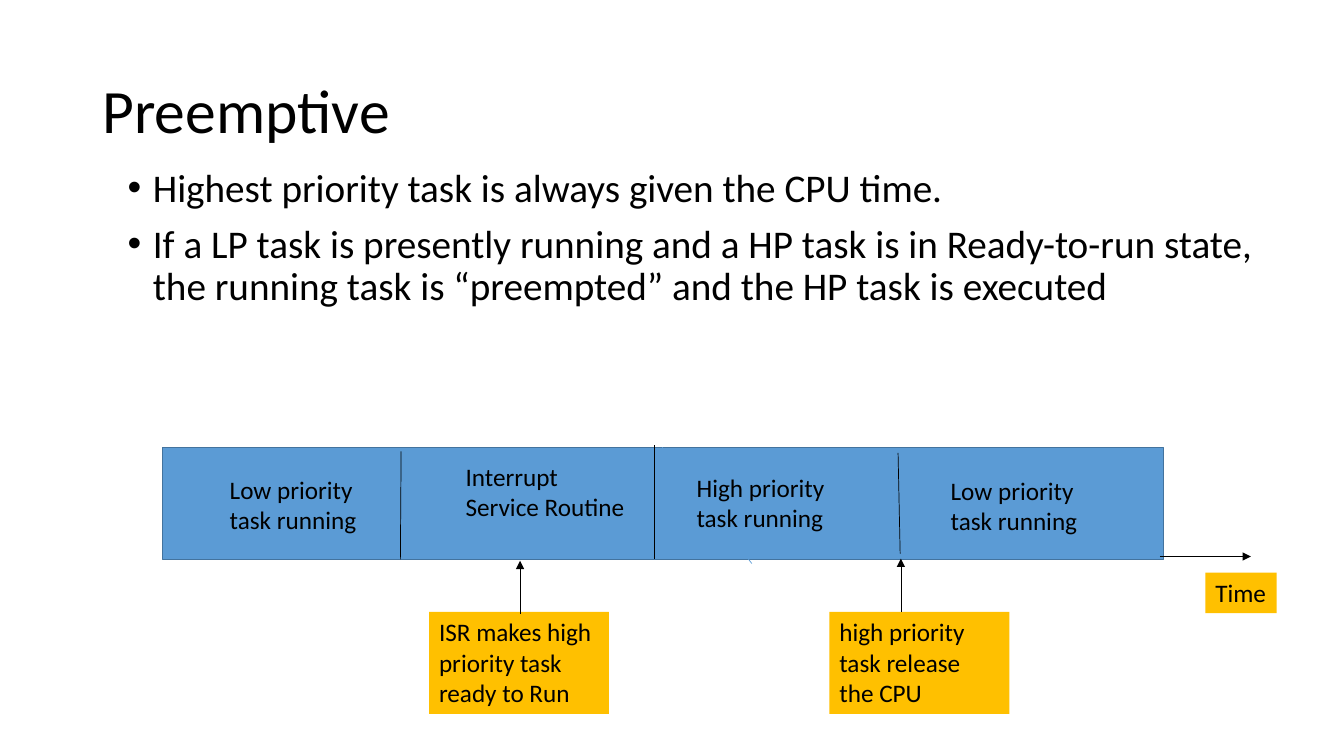
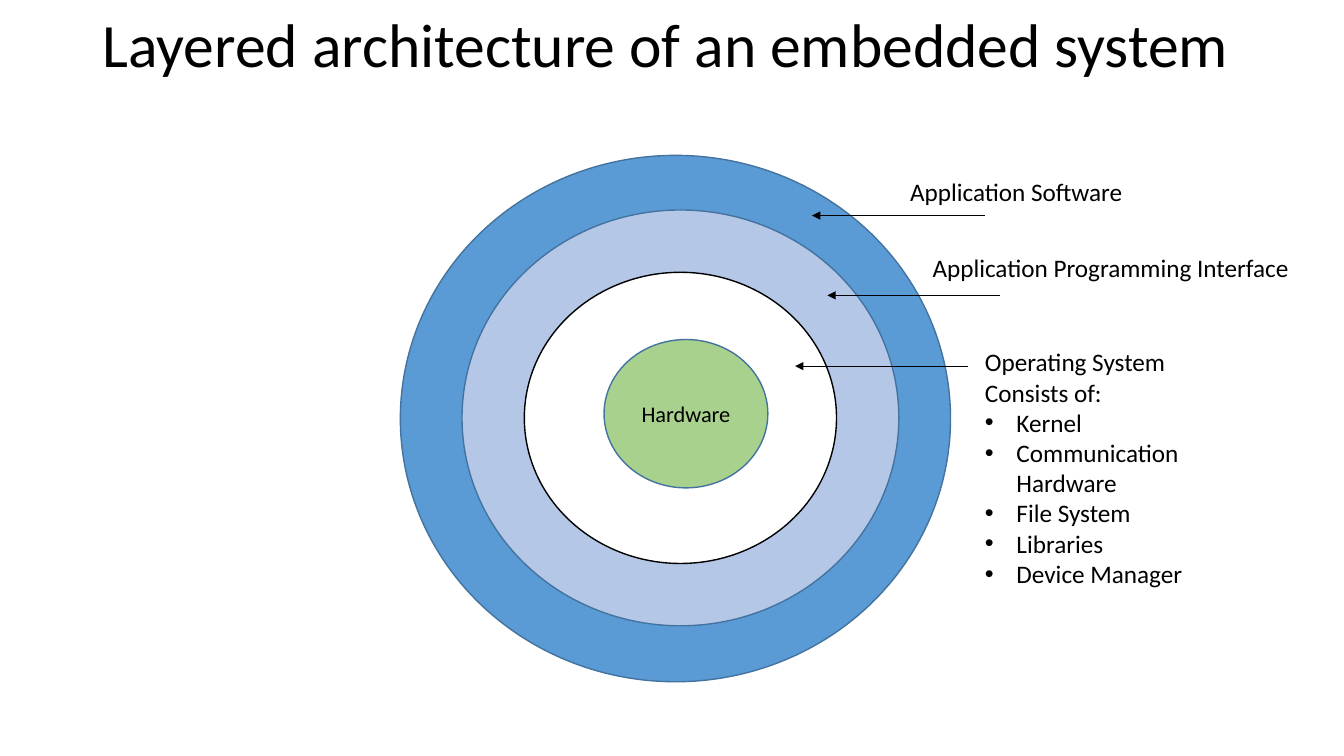
"""Build two slides on preemptive scheduling and embedded system layers."""
from lxml import etree
from pptx import Presentation
from pptx.dml.color import RGBColor
from pptx.enum.shapes import MSO_CONNECTOR, MSO_SHAPE
from pptx.enum.text import MSO_ANCHOR, MSO_AUTO_SIZE, PP_ALIGN
from pptx.oxml.ns import qn
from pptx.util import Pt

LINE, RECT, OVAL = MSO_CONNECTOR.STRAIGHT, MSO_SHAPE.RECTANGLE, MSO_SHAPE.OVAL
TOP, MIDDLE = MSO_ANCHOR.TOP, MSO_ANCHOR.MIDDLE
LEFT, CENTER, FIXED = PP_ALIGN.LEFT, PP_ALIGN.CENTER, MSO_AUTO_SIZE.NONE
FONT = "Calibri"
HEX = {"black": "000000", "white": "FFFFFF", "blue": "5B9BD5", "edge": "43739E",
       "pale": "B4C7E7", "green": "A9D18E", "gold": "FFC000"}
RGB = {name: RGBColor.from_string(code) for name, code in HEX.items()}


def write(shape, paras, size=18, indent=0, plain=0, anchor=TOP, align=LEFT,
          spacing=None, gap=0, wrap=True):
    """Fill a shape with paragraphs, bulleted after the first plain ones."""
    frame = shape.text_frame
    frame.auto_size, frame.word_wrap = FIXED, wrap
    frame.vertical_anchor = anchor
    for i, text in enumerate(paras):
        para = frame.paragraphs[0] if i == 0 else frame.add_paragraph()
        if indent and i >= plain:
            props = para._p.get_or_add_pPr()
            props.set("marL", str(Pt(indent)))
            props.set("indent", str(-Pt(indent)))
            etree.SubElement(props, qn("a:buFont")).set("typeface", "Arial")
            etree.SubElement(props, qn("a:buChar")).set("char", "•")
        para.alignment = align
        para.line_spacing = spacing
        para.space_before = Pt(gap if i else 0)
        run = para.add_run()
        run.text = text
        run.font.name, run.font.size = FONT, Pt(size)
        run.font.color.rgb = RGB["black"]


def link(slide, x1, y1, x2, y2, color="black", arrow=False):
    """Draw a thin line, with an arrowhead at its end if asked."""
    line = slide.shapes.add_connector(LINE, Pt(x1), Pt(y1), Pt(x2), Pt(y2))
    line.line.width = Pt(0.5)
    line.line.color.rgb = RGB[color]
    if arrow:
        etree.SubElement(line.line._get_or_add_ln(), qn("a:tailEnd")).set("type", "triangle")
    etree.SubElement(line._element.spPr, qn("a:effectLst"))


deck = Presentation()
deck.slide_width, deck.slide_height = Pt(960), Pt(540)
pages = []
for kind, text, top, anchor in [
        (1, "Preemptive", 29, MIDDLE),
        (5, "Layered architecture of an embedded system", 6.5, TOP)]:
    page = deck.slides.add_slide(deck.slide_layouts[kind])
    title = page.shapes.title
    title.left, title.top, title.width, title.height = Pt(66), Pt(top), Pt(828), Pt(104.4)
    write(title, [text], 44, anchor=anchor, spacing=0.9)
    pages.append(page)
tasks, layers = pages

body = tasks.placeholders[1]
body.left, body.top, body.width, body.height = Pt(84), Pt(116.5), Pt(828), Pt(147)
write(body, [
    "Highest priority task is always given the CPU time.",
    "If a LP task is presently running and a HP task is in Ready-to-run state, "
    "the running task is “preempted” and the HP task is executed",
], 28, indent=18, spacing=0.9, gap=10)

bar = tasks.shapes.add_shape(RECT, Pt(116), Pt(319.5), Pt(715), Pt(80))
bar.shadow.inherit = False
bar.fill.solid()
bar.fill.fore_color.rgb = RGB["blue"]
bar.line.color.rgb, bar.line.width = RGB["edge"], Pt(1)

link(tasks, 828.5, 397.5, 893.5, 397.5, arrow=True)
link(tasks, 473, 319.5, 537, 402.5, "blue")
for x1, y1, x2, y2 in [(467.5, 318, 467.5, 399.5), (286.5, 322.5, 286, 399.5),
                       (641.5, 323.5, 643, 395.5)]:
    link(tasks, x1, y1, x2, y2)

for x, y, text in [(325.5, 326, "Interrupt Service Routine"),
                   (490.5, 333.5, "High priority task running"),
                   (157, 335, "Low priority task running"),
                   (672, 336, "Low priority task running")]:
    write(tasks.shapes.add_textbox(Pt(x), Pt(y), Pt(128), Pt(51)), [text])

for x, y, w, h, text, wrap in [
        (306.5, 437, 128.5, 73, "ISR makes high priority task ready to Run", True),
        (592.5, 437, 128.5, 73, "high priority task release the CPU", True),
        (861, 409, 51, 29, "Time", False)]:
    note = tasks.shapes.add_textbox(Pt(x), Pt(y), Pt(w), Pt(h))
    note.fill.solid()
    note.fill.fore_color.rgb = RGB["gold"]
    write(note, [text], wrap=wrap)

for x, y in [(643.5, 437), (371.5, 438.5)]:
    link(tasks, x, y, x, y - 38, arrow=True)

for x, y, w, h, fill, edge, text in [
        (286, 111, 393, 376, "blue", "edge", ""),
        (330, 150, 312, 297, "pale", "edge", ""),
        (374.5, 194.5, 223, 208, "white", "black", ""),
        (431.5, 242.5, 117, 106, "green", "edge", "Hardware")]:
    ring = layers.shapes.add_shape(OVAL, Pt(x), Pt(y), Pt(w), Pt(h))
    ring.shadow.inherit = False
    ring.fill.solid()
    ring.fill.fore_color.rgb = RGB[fill]
    ring.line.color.rgb, ring.line.width = RGB[edge], Pt(1)
    if text:
        write(ring, [text], 16, anchor=MIDDLE, align=CENTER)

for x, y in [(580, 154), (591, 211), (568, 261.5)]:
    link(layers, x + 123.5, y, x, y, arrow=True)

for x, y, w, h, paras in [
        (643, 122.5, 204.5, 29, ["Application Software"]),
        (659, 177, 281, 29, ["Application Programming Interface"]),
        (696.5, 244, 204.5, 204, [
            "Operating System Consists of:", "Kernel", "Communication Hardware",
            "File System", "Libraries", "Device Manager"])]:
    label = layers.shapes.add_textbox(Pt(x), Pt(y), Pt(w), Pt(h))
    write(label, paras, indent=22.5, plain=1)

deck.save("out.pptx")
